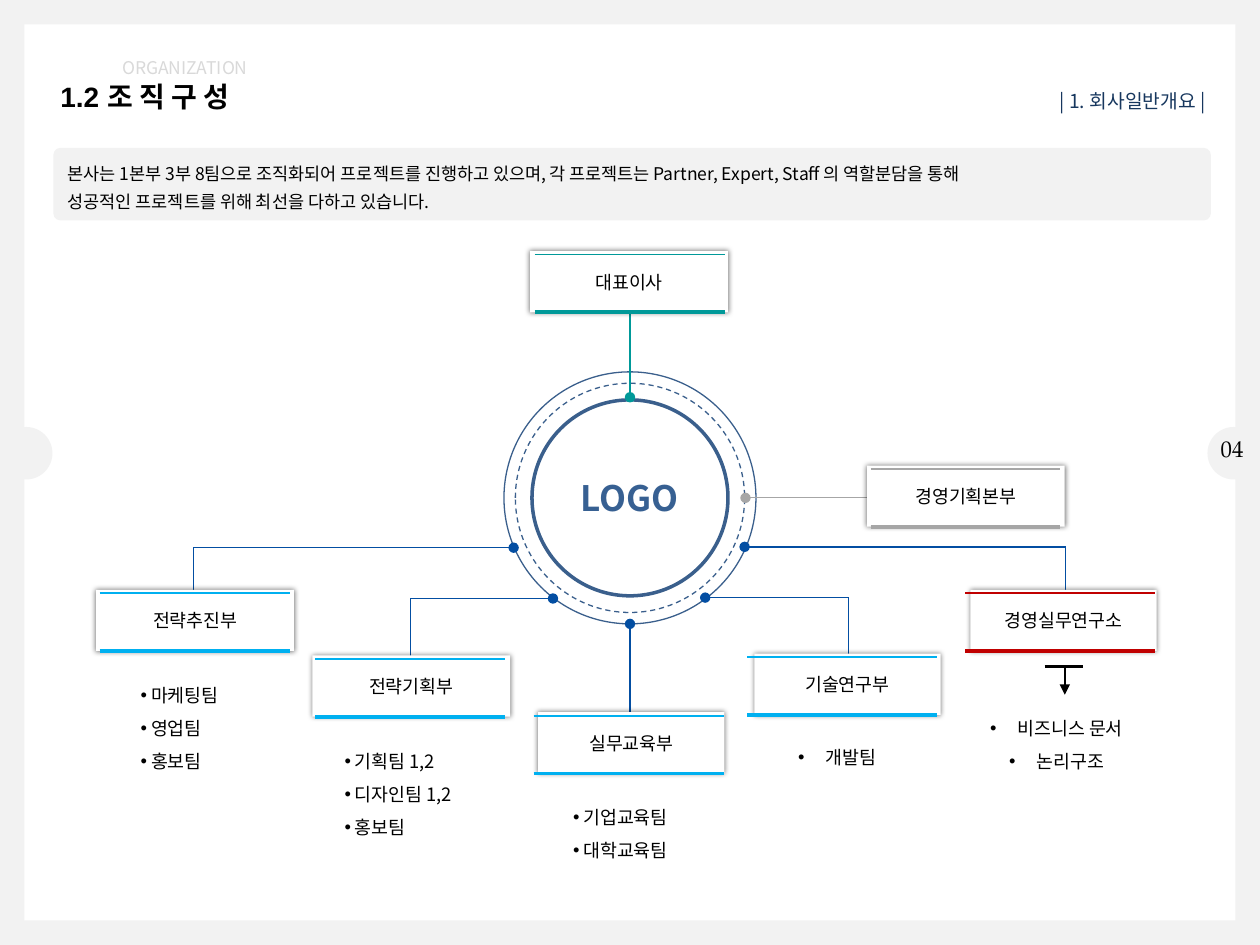
from dataclasses import dataclass
from itertools import pairwise

import pptx
import pptx.dml.color
import pptx.enum.dml
import pptx.enum.shapes
import pptx.enum.text
import pptx.oxml.ns
import pptx.oxml.xmlchemy
import pptx.util

Pt = pptx.util.Pt
Kind = pptx.enum.shapes.MSO_SHAPE
Align = pptx.enum.text.PP_ALIGN
Anchor = pptx.enum.text.MSO_ANCHOR
Point = tuple[float, float]


@dataclass(frozen=True)
class Theme:
    sans: str = "Noto Sans CJK KR"
    head: str = "Arial"
    serif: str = "TeX Gyre Pagella"
    black: str = "000000"
    white: str = "FFFFFF"
    pale: str = "F2F2F2"
    faint: str = "D9D9D9"
    gray: str = "A6A6A6"
    navy: str = "17375E"
    ring: str = "3A5F8C"
    logo: str = "376092"
    link: str = "034EA2"
    sky: str = "00B0F0"
    teal: str = "009999"
    red: str = "C00000"
    small: float = 10
    label: float = 10.5
    topic: float = 11
    page: float = 13
    title: float = 16
    hub: float = 20


T = Theme()


@dataclass(frozen=True)
class Card:
    name: str
    left: float
    top: float
    width: float
    rule: float  # left end of both rules
    color: str


@dataclass(frozen=True)
class Teams:
    text: str
    left: float
    top: float
    width: float
    height: float
    mid: bool = False


@dataclass(frozen=True)
class Link:
    """A route that ends in a dot."""
    points: tuple[Point, ...]
    color: str = T.link


CARDS = [
    Card("대표이사", 303, 143.5, 113, 305.5, T.teal),
    Card("경영기획본부", 495.5, 266, 113, 497.5, T.gray),
    Card("전략추진부", 55, 337, 113, 57, T.sky),
    Card("전략기획부", 178.5, 374.5, 113, 180, T.sky),
    Card("실무교육부", 307.5, 407, 106.5, 305, T.sky),
    Card("기술연구부", 431, 373.5, 106.5, 427, T.sky),
    Card("경영실무연구소", 554.5, 337, 106.5, 551.5, T.red),
]
TEAMS = [
    Teams("마케팅팀\n영업팀\n홍보팀", 72, 380, 80, 65),
    Teams("기획팀 1,2\n디자인팀 1,2\n홍보팀", 188.5, 417.5, 92, 65.5),
    Teams("기업교육팀\n대학교육팀", 319.5, 450, 80, 45),
    Teams("개발팀", 451, 416, 66, 25, True),
    Teams("비즈니스 문서\n논리구조", 556, 399, 106.5, 46, True),
]
LINKS = [
    Link(((360, 175), (360, 227)), T.teal),
    Link(((497, 284.5), (426, 284.5)), T.gray),
    Link(((110.5, 338), (110.5, 313), (293.5, 313))),
    Link(((234.5, 376), (234.5, 342), (316, 342))),
    Link(((360, 409), (360, 356.5))),
    Link(((485, 376), (485, 341.5), (403, 341.5))),
    Link(((609, 338), (609, 312.5), (425.5, 312.5))),
]


def rgb(color: str):
    return pptx.dml.color.RGBColor.from_string(color)


def sub(parent, tag: str, **attrs: str):
    node = pptx.oxml.xmlchemy.OxmlElement(tag)
    for key, value in attrs.items():
        node.set(key, value)
    parent.append(node)
    return node


def put(shape, text: str, *, size: float, color: str = T.black, font: str = T.sans,
        bold: bool = False, align=Align.LEFT, anchor=Anchor.TOP, space=None,
        bullet: bool = False, hang: float = 0, wrap: bool = True) -> None:
    frame = shape.text_frame
    frame.word_wrap = wrap
    frame.vertical_anchor = anchor
    for i, line in enumerate(text.split("\n")):
        para = frame.add_paragraph() if i else frame.paragraphs[0]
        para.alignment = align
        if space:
            para.line_spacing = space
        if bullet:
            props = para._p.get_or_add_pPr()
            props.set("marL", str(Pt(hang)))
            props.set("indent", str(-Pt(hang)))
            sub(props, "a:buFont", typeface=T.head)
            sub(props, "a:buChar", char="•")
        run = para.add_run()
        run.text = f" {line}" if bullet else line
        run.font.size, run.font.bold, run.font.name = Pt(size), bold, font
        run.font.color.rgb = rgb(color)
        east = T.sans if font == T.head else font
        sub(run._r.get_or_add_rPr(), "a:ea", typeface=east)


def add_box(slide, kind, left: float, top: float, width: float, height: float,
            fill: str = T.white, line: str | None = None, weight: float = 0.75):
    box = slide.shapes.add_shape(kind, Pt(left), Pt(top), Pt(width), Pt(height))
    box.shadow.inherit = False
    box.fill.solid()
    box.fill.fore_color.rgb = rgb(fill)
    if line:
        box.line.color.rgb = rgb(line)
        box.line.width = Pt(weight)
    else:
        box.line.fill.background()
    return box


def add_text(slide, left: float, top: float, width: float, height: float,
             text: str, **style) -> None:
    put(slide.shapes.add_textbox(Pt(left), Pt(top), Pt(width), Pt(height)), text, **style)


def add_line(slide, start: Point, end: Point, color: str, weight: float = 0.75,
             tip: str | None = None) -> None:
    line = slide.shapes.add_connector(pptx.enum.shapes.MSO_CONNECTOR.STRAIGHT,
                                      *map(Pt, start + end))
    line.line.color.rgb = rgb(color)
    line.line.width = Pt(weight)
    if tip:
        sub(line.line._get_or_add_ln(), "a:tailEnd", type=tip)
    sub(line.element.spPr, "a:effectLst")


def add_card(slide, card: Card) -> None:
    box = add_box(slide, Kind.RECTANGLE, card.left, card.top, card.width, 35)
    glow = sub(box.element.spPr.find(pptx.oxml.ns.qn("a:effectLst")), "a:outerShdw",
               blurRad=str(Pt(3)), dist="0", dir="18900000", algn="ctr", rotWithShape="0")
    sub(sub(glow, "a:srgbClr", val=T.black), "a:alpha", val="55000")
    put(box, card.name, size=T.label, align=Align.CENTER, anchor=Anchor.MIDDLE)
    for drop, weight in ((2, 1), (35, 2.25)):
        y = card.top + drop
        add_line(slide, (card.rule, y), (card.rule + 108.5, y), card.color, weight)


def add_teams(slide, teams: Teams) -> None:
    box = add_box(slide, Kind.ROUNDED_RECTANGLE, teams.left, teams.top,
                  teams.width, teams.height)
    box.adjustments[0] = 0.07
    if teams.mid:
        box.text_frame.margin_left, box.text_frame.margin_right = Pt(0), Pt(11)
    put(box, teams.text, size=T.label, space=1.5, bullet=True,
        hang=13.5 if teams.mid else 0,
        align=Align.CENTER if teams.mid else Align.LEFT)


def add_frame(slide) -> None:
    """Page border, headings and summary."""
    add_box(slide, Kind.RECTANGLE, 0, 0, 720, 540, T.pale)
    add_box(slide, Kind.RECTANGLE, 14, 14, 692, 512)
    for left in (0, 690):
        add_box(slide, Kind.OVAL, left, 244, 30, 30, T.pale)
    add_text(slide, 55.5, 29, 93, 19.5, "ORGANIZATION", size=T.small,
             color=T.faint, align=Align.RIGHT)
    add_text(slide, 27.5, 42, 125, 26.5, "1.2 조 직 구 성", size=T.title,
             font=T.head, bold=True)
    add_text(slide, 590.5, 41, 111, 27.5, " | 1. 회사일반개요 |", size=T.topic,
             color=T.navy, align=Align.CENTER, space=1.5)
    add_text(slide, 690.5, 245, 28, 23, "04", size=T.page, font=T.serif, wrap=False)
    note = add_box(slide, Kind.ROUNDED_RECTANGLE, 30.5, 84.5, 661.5, 41.5, T.pale)
    note.adjustments[0] = 0.1
    put(note, "본사는 1본부 3부 8팀으로 조직화되어 프로젝트를 진행하고 있으며, "
        "각 프로젝트는 Partner, Expert, Staff 의 역할분담을 통해\n"
        "성공적인 프로젝트를 위해 최선을 다하고 있습니다.", size=T.small, space=Pt(16))


def add_hub(slide) -> None:
    rings = [add_box(slide, Kind.OVAL, 360 - r, 284.5 - r, 2 * r, 2 * r, line=T.ring,
                     weight=weight) for r, weight in ((72, 0.75), (65.5, 0.75), (56, 2))]
    rings[1].line.dash_style = pptx.enum.dml.MSO_LINE.DASH
    put(rings[2], "LOGO", size=T.hub, color=T.logo, bold=True,
        align=Align.CENTER, anchor=Anchor.MIDDLE)


def main() -> None:
    deck = pptx.Presentation()
    deck.slide_width, deck.slide_height = Pt(720), Pt(540)
    slide = deck.slides.add_slide(deck.slide_layouts[6])
    add_frame(slide)
    add_hub(slide)
    for link in LINKS:
        legs = list(pairwise(link.points))
        for leg in legs:
            add_line(slide, *leg, link.color, tip="oval" if leg == legs[-1] else None)
    for teams in TEAMS:
        add_teams(slide, teams)
    for card in CARDS:
        add_card(slide, card)
    add_line(slide, (597, 381), (619, 381), T.black, 1.5)
    add_line(slide, (608.5, 380.5), (608.5, 397), T.black, 1.5, "triangle")
    deck.save("out.pptx")


if __name__ == "__main__":
    main()
